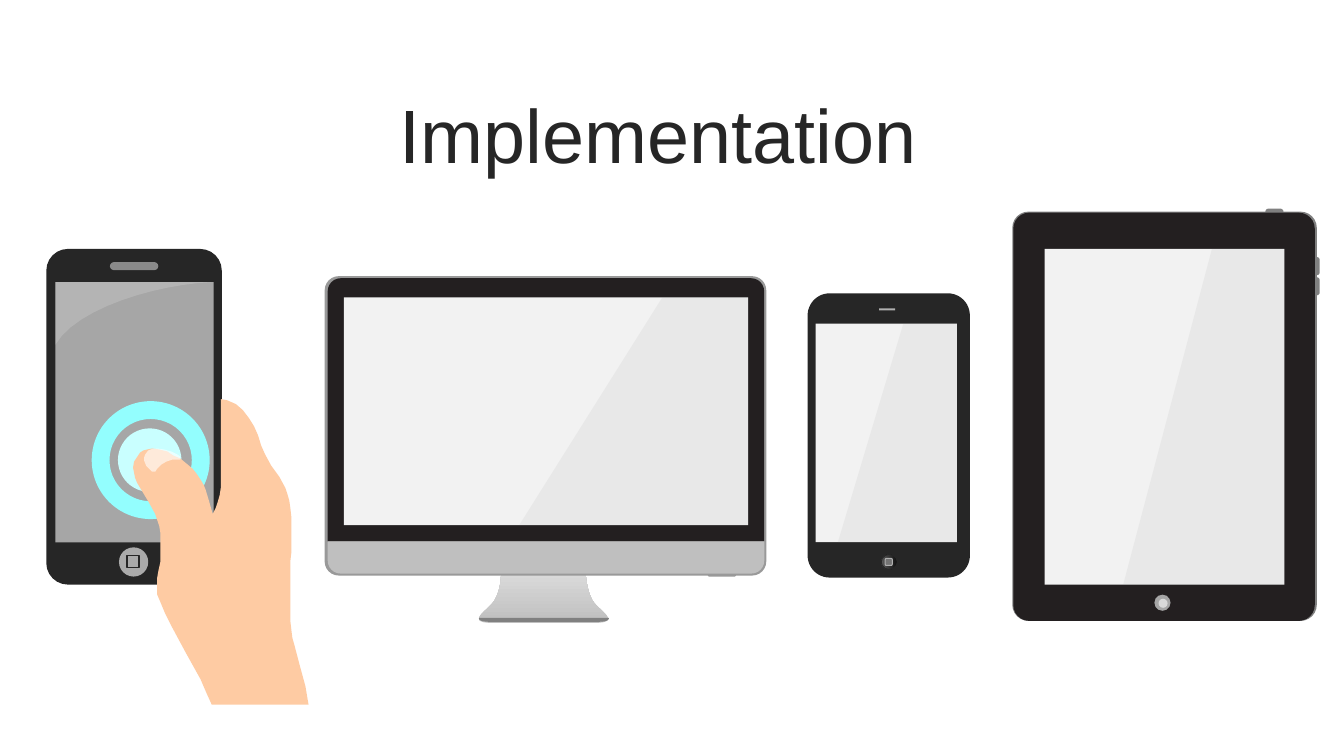
"""Build the Implementation slide with a phone in hand, a monitor, a small phone and a tablet."""
import dataclasses

import lxml.etree
import pptx
import pptx.dml.color
import pptx.enum.shapes
import pptx.enum.text
import pptx.oxml.ns
import pptx.util

Inches = pptx.util.Inches
Kind = pptx.enum.shapes.MSO_SHAPE


@dataclasses.dataclass(frozen=True)
class Theme:
    font: str = "Arial"
    title: int = 54
    ink: str = "262626"
    bezel: str = "231F20"
    edge: str = "808080"
    rim: str = "999999"
    metal: str = "BFBFBF"
    light: str = "D9D9D9"
    glass: str = "F2F2F2"
    screen: str = "A6A6A6"
    trim: str = "B0B0B0"
    pale: str = "ECECEC"
    white: str = "FFFFFF"
    square: str = "737373"
    deep: str = "0F0F0F"
    slate: str = "595959"
    core: str = "C9FFFF"
    ring: str = "93FEFE"
    skin: str = "FECBA3"


class Deck:
    def __init__(self, theme):
        self.theme = theme
        self.file = pptx.Presentation()
        self.file.slide_width, self.file.slide_height = Inches(13.33), Inches(7.5)
        self.slide = self.file.slides.add_slide(self.file.slide_layouts[5])
        self.shapes = self.slide.shapes

    def title(self, text, box):
        holder = self.slide.shapes.title
        holder.left, holder.top, holder.width, holder.height = map(Inches, box)
        frame = holder.text_frame
        frame.text = text
        frame.auto_size = pptx.enum.text.MSO_AUTO_SIZE.NONE
        frame.vertical_anchor = pptx.enum.text.MSO_ANCHOR.MIDDLE
        line = frame.paragraphs[0]
        line.alignment = pptx.enum.text.PP_ALIGN.CENTER
        line.line_spacing = 0.9
        line.font.name, line.font.size = self.theme.font, pptx.util.Pt(self.theme.title)
        line.font.color.rgb = self.color(self.theme.ink)

    def group(self):
        self.shapes = self.slide.shapes.add_group_shape().shapes

    def color(self, code):
        return pptx.dml.color.RGBColor.from_string(code)

    def paint(self, shape, fill, alpha=100, angle=0, line=None, weight=0.75):
        shape.shadow.inherit = False
        if fill is None:
            shape.fill.background()
        elif isinstance(fill, tuple):
            shape.fill.gradient()
            shape.fill.gradient_angle = angle
            for stop, code in zip(shape.fill.gradient_stops, fill):
                stop.color.rgb = self.color(code)
        else:
            shape.fill.solid()
            shape.fill.fore_color.rgb = self.color(fill)
            if alpha < 100:
                node = shape.element.spPr.find(".//" + pptx.oxml.ns.qn("a:srgbClr"))
                lxml.etree.SubElement(node, pptx.oxml.ns.qn("a:alpha"), val=str(alpha * 1000))
        if line:
            shape.line.color.rgb = self.color(line)
            shape.line.width = pptx.util.Pt(weight)
        else:
            shape.line.fill.background()

    def shape(self, kind, box, fill, adjust=(), turn=0, **style):
        shape = self.shapes.add_shape(kind, *map(Inches, box))
        for index, value in enumerate(adjust):
            shape.adjustments[index] = value
        shape.rotation = turn
        self.paint(shape, fill, **style)

    def outline(self, steps, fill, **style):
        """Draw an outline of points, where six numbers give a curve."""
        points = []
        for step in steps:
            if len(step) == 2:
                points.append(step)
                continue
            start, knots = points[-1], (step[:2], step[2:4], step[4:])
            for part in range(1, 13):
                t = part / 12
                weights = ((1 - t) ** 3, 3 * t * (1 - t) ** 2, 3 * t * t * (1 - t), t ** 3)
                points.append(tuple(sum(w * knot[axis] for w, knot in zip(weights, (start, *knots)))
                                    for axis in (0, 1)))
        places = [(Inches(x), Inches(y)) for x, y in points]
        pen = self.shapes.build_freeform(*places[0])
        pen.add_line_segments(places[1:], close=True)
        self.paint(pen.convert_to_shape(), fill, **style)

    def display(self, box, top, base):
        """Draw a pale display with a slanted gleam from top to base."""
        left, upper, width, height = box
        right, lower = left + width, upper + height
        self.shape(Kind.RECTANGLE, box, self.theme.glass)
        self.outline([(top, upper), (right, upper), (right, lower), (base, lower)],
                     self.theme.rim, alpha=10)


HAND = [
    (2.19, 3.96), (2.25, 3.97), (2.34, 4.01), (2.41, 4.07), (2.47, 4.15), (2.52, 4.23),
    (2.56, 4.32), (2.59, 4.42), (2.63, 4.51), (2.69, 4.62), (2.77, 4.73), (2.83, 4.84),
    (2.85, 4.9), (2.87, 4.97), (2.88, 5.04), (2.89, 5.13), (2.89, 5.48), (2.88, 5.57),
    (2.88, 6.16), (2.89, 6.25), (2.9, 6.33), (2.92, 6.4), (2.97, 6.59), (3.03, 6.81),
    (3.06, 6.99), (2.1, 6.99), (2.05, 6.88), (1.99, 6.74), (1.84, 6.47), (1.7, 6.21),
    (1.64, 6.09), (1.59, 5.97), (1.56, 5.9), (1.56, 5.73), (1.57, 5.67), (1.59, 5.58),
    (1.59, 5.28), (1.58, 5.22), (1.56, 5.16), (1.54, 5.1), (1.48, 4.99), (1.42, 4.89),
    (1.36, 4.79), (1.34, 4.74), (1.33, 4.69), (1.32, 4.64), (1.33, 4.58), (1.35, 4.55),
    (1.39, 4.49), (1.42, 4.47), (1.46, 4.46), (1.51, 4.45), (1.58, 4.46), (1.66, 4.48),
    (1.72, 4.52), (1.79, 4.55), (1.85, 4.6), (1.91, 4.65), (1.95, 4.7), (1.99, 4.76),
    (2.02, 4.81), (2.04, 4.86), (2.07, 4.96), (2.11, 5.1), (2.14, 5.04), (2.16, 4.98),
    (2.18, 4.91), (2.19, 4.84)]
NAIL = [
    (1.56, 4.45), (1.63, 4.46), (1.7, 4.48), (1.76, 4.51), (1.79, 4.53), (1.79, 4.56),
    (1.71, 4.56), (1.65, 4.58), (1.6, 4.61), (1.56, 4.65), (1.54, 4.68), (1.51, 4.68),
    (1.48, 4.65), (1.45, 4.62), (1.43, 4.57), (1.43, 4.54), (1.44, 4.51), (1.47, 4.47),
    (1.52, 4.45)]
STAND = [
    (5.91, 6), (5.82, 5.91, 5.81, 5.7, 5.81, 5.7), (4.97, 5.7),
    (4.97, 5.7, 4.97, 5.9, 4.87, 6), (4.78, 6.09, 4.64, 6.18, 4.89, 6.18), (5.89, 6.18),
    (6.14, 6.18, 6, 6.09, 5.91, 6)]
FOOT = [
    (4.75, 6.13), (4.75, 6.16, 4.79, 6.17, 4.89, 6.17), (5.9, 6.17),
    (6, 6.17, 6.04, 6.16, 6.04, 6.13)]
GLARE = [(0.55, 2.8), (2.09, 2.8), (1.58, 2.82, 0.76, 3.05, 0.55, 3.42)]


def draw_screen(deck):
    theme = deck.theme
    deck.group()
    deck.outline(STAND, (theme.metal, theme.light), angle=90)
    deck.shape(Kind.ROUNDED_RECTANGLE, (3.22, 2.74, 4.38, 2.97), theme.rim, [0.047])
    deck.shape(Kind.ROUND_2_SAME_RECTANGLE, (7.02, 5.69, 0.28, 0.03), theme.rim, [0.5, 0], 180)
    deck.shape(Kind.ROUND_2_SAME_RECTANGLE, (3.25, 2.76, 4.33, 2.61), theme.bezel, [0.05, 0])
    deck.outline(FOOT, theme.edge)
    deck.shape(Kind.ROUND_2_SAME_RECTANGLE, (3.25, 5.37, 4.33, 0.32), theme.metal, [0.4, 0], 180)
    deck.display((3.41, 2.95, 4.01, 2.26), 6.57, 5.15)


def draw_tablet(deck):
    theme = deck.theme
    deck.group()
    for box in ((12.55, 2.07, 0.18, 0.06), (13.03, 2.75, 0.06, 0.18), (13.03, 2.55, 0.06, 0.18)):
        deck.shape(Kind.ROUNDED_RECTANGLE, box, theme.edge, [0.5])
    deck.shape(Kind.ROUNDED_RECTANGLE, (10.04, 2.1, 3.02, 4.06), theme.edge, [0.053])
    deck.shape(Kind.ROUNDED_RECTANGLE, (10.05, 2.11, 2.99, 4.05), theme.bezel, [0.053])
    deck.display((10.36, 2.47, 2.38, 3.33), 12.02, 11.14)
    deck.shape(Kind.OVAL, (11.45, 5.9, 0.16, 0.16), theme.screen)
    deck.shape(Kind.OVAL, (11.49, 5.94, 0.09, 0.09), theme.light)


def draw_mobile(deck):
    theme = deck.theme
    deck.group()
    deck.shape(Kind.ROUNDED_RECTANGLE, (8.01, 2.91, 1.61, 2.82), theme.ink, [0.136])
    deck.shape(Kind.RECTANGLE, (8.72, 3.06, 0.16, 0.02), theme.trim)
    deck.shape(Kind.OVAL, (8.74, 5.5, 0.16, 0.15), (theme.deep, theme.slate), angle=180, line=theme.ink)
    deck.shape(Kind.ROUNDED_RECTANGLE, (8.78, 5.54, 0.07, 0.07), theme.square, [0.167], line=theme.trim)
    deck.display((8.09, 3.21, 1.4, 2.17), 8.96, 8.31)


def draw_touch(deck):
    theme = deck.theme
    deck.group()
    deck.shape(Kind.ROUNDED_RECTANGLE, (0.46, 2.47, 1.74, 3.33), theme.ink, [0.123])
    deck.shape(Kind.RECTANGLE, (0.55, 2.8, 1.57, 2.58), theme.screen)
    deck.shape(Kind.ROUNDED_RECTANGLE, (1.09, 2.6, 0.48, 0.08), theme.pale, [0.5], alpha=51)
    deck.shape(Kind.OVAL, (1.18, 5.43, 0.29, 0.29), theme.pale, alpha=67)
    deck.shape(Kind.RECTANGLE, (1.26, 5.51, 0.12, 0.12), None, line=theme.ink, weight=1)
    deck.outline(GLARE, theme.white, alpha=16)
    deck.shape(Kind.OVAL, (1.17, 4.25, 0.63, 0.63), theme.core)
    deck.shape(Kind.DONUT, (0.91, 3.98, 1.17, 1.17), theme.ring, [0.151])
    deck.outline(HAND, theme.skin)
    deck.outline(NAIL, theme.white, alpha=60)


def main():
    deck = Deck(Theme())
    deck.title("Implementation", (0.2, 0.98, 12.66, 0.79))
    for draw in (draw_screen, draw_tablet, draw_mobile, draw_touch):
        draw(deck)
    deck.file.save("out.pptx")


if __name__ == "__main__":
    main()
